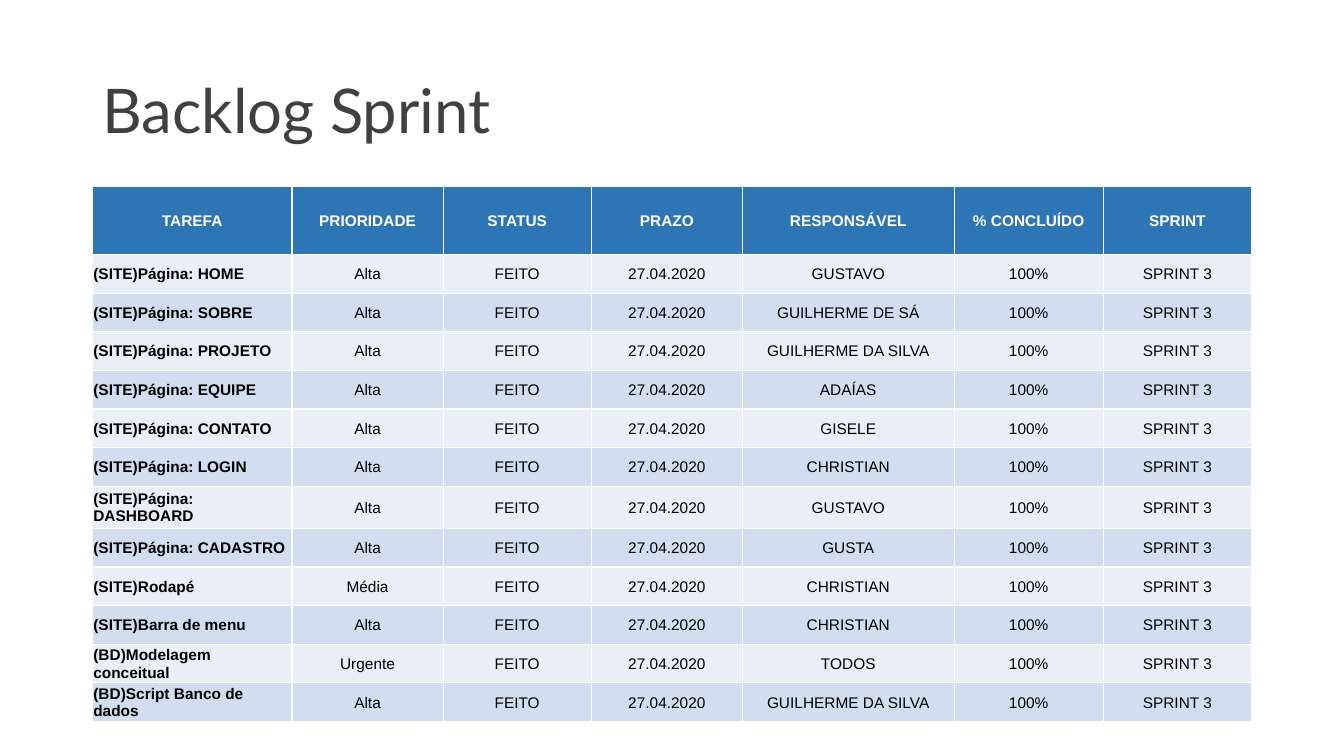
import pptx
import pptx.dml.color
import pptx.enum.text
import pptx.oxml
import pptx.oxml.ns
import pptx.util

Pt = pptx.util.Pt
RGBColor = pptx.dml.color.RGBColor
ALIGN = pptx.enum.text.PP_ALIGN
MIDDLE = pptx.enum.text.MSO_ANCHOR.MIDDLE

WHITE = RGBColor(0xFF, 0xFF, 0xFF)
BLACK = RGBColor(0x00, 0x00, 0x00)
DARK_GREY = RGBColor(0x40, 0x40, 0x40)
HEADER_BLUE = RGBColor(0x2E, 0x75, 0xB6)
BANDS = (RGBColor(0xEA, 0xEF, 0xF7), RGBColor(0xD2, 0xDE, 0xEF))

HEADINGS = ("TAREFA", "PRIORIDADE", "STATUS", "PRAZO", "RESPONSÁVEL",
            "% CONCLUÍDO", "SPRINT")
COLUMN_WIDTHS = (142.6, 108, 105.8, 108, 151.2, 106.6, 105.8)
HEADER_HEIGHT, ROW_HEIGHT, TALL_ROW_HEIGHT = 48.6, 27.6, 30.2
TALL_TASK = "(SITE)Página: DASHBOARD"
TASKS = (
    ("(SITE)Página: HOME", "Alta", "GUSTAVO"),
    ("(SITE)Página: SOBRE", "Alta", "GUILHERME DE SÁ"),
    ("(SITE)Página: PROJETO", "Alta", "GUILHERME DA SILVA"),
    ("(SITE)Página: EQUIPE", "Alta", "ADAÍAS"),
    ("(SITE)Página: CONTATO", "Alta", "GISELE"),
    ("(SITE)Página: LOGIN", "Alta", "CHRISTIAN"),
    (TALL_TASK, "Alta", "GUSTAVO"),
    ("(SITE)Página: CADASTRO", "Alta", "GUSTA"),
    ("(SITE)Rodapé", "Média", "CHRISTIAN"),
    ("(SITE)Barra de menu", "Alta", "CHRISTIAN"),
    ("(BD)Modelagem conceitual", "Urgente", "TODOS"),
    ("(BD)Script Banco de dados", "Alta", "GUILHERME DA SILVA"),
)


def apply(target, values):
    """Set each named attribute of the target."""
    for name, value in values.items():
        setattr(target, name, value)


class BacklogPage:
    title_font = {"name": "Lato", "size": Pt(44), "bold": False}
    cell_font = {"name": "Arial", "size": Pt(11)}
    cell_format = {"margin_left": Pt(0.7), "margin_right": Pt(0.7),
                   "margin_top": Pt(0.7), "margin_bottom": Pt(0),
                   "vertical_anchor": MIDDLE}

    def __init__(self, deck):
        self.page = deck.slides.add_slide(deck.slide_layouts[5])

    def add_text(self, para, text, font, colour):
        span = para.add_run()
        span.text = text
        apply(span.font, font)
        span.font.color.rgb = colour

    def title(self, text, left, top, width, height):
        box = self.page.shapes.title
        apply(box, {"left": Pt(left), "top": Pt(top),
                    "width": Pt(width), "height": Pt(height)})
        apply(box.text_frame, {"word_wrap": True, "vertical_anchor": MIDDLE})
        para = box.text_frame.paragraphs[0]
        apply(para, {"alignment": ALIGN.LEFT, "line_spacing": 0.9})
        self.add_text(para, text, self.title_font, DARK_GREY)

    def border(self, cell):
        properties = cell._tc.get_or_add_tcPr()
        for side in ("lnL", "lnR", "lnT", "lnB"):
            properties.append(pptx.oxml.parse_xml(
                f'<a:{side} {pptx.oxml.ns.nsdecls("a")} w="{Pt(1)}"><a:solidFill>'
                f'<a:srgbClr val="{WHITE}"/></a:solidFill></a:{side}>'))

    def cell(self, cell, text, fill, colour, bold, alignment):
        self.border(cell)
        apply(cell, self.cell_format)
        cell.fill.solid()
        cell.fill.fore_color.rgb = fill
        para = cell.text_frame.paragraphs[0]
        para.alignment = alignment
        self.add_text(para, text, {**self.cell_font, "bold": bold}, colour)

    def table(self, rows, left, top, widths, heights):
        table = self.page.shapes.add_table(
            len(rows), len(widths), Pt(left), Pt(top),
            Pt(sum(widths)), Pt(sum(heights))).table
        for column, width in zip(table.columns, widths):
            column.width = Pt(width)
        for row, height in zip(table.rows, heights):
            row.height = Pt(height)
        for row_index, texts in enumerate(rows):
            header = row_index == 0
            fill = HEADER_BLUE if header else BANDS[(row_index - 1) % 2]
            for column_index, text in enumerate(texts):
                task = column_index == 0 and not header
                self.cell(table.cell(row_index, column_index), text, fill,
                          WHITE if header else BLACK, header or task,
                          ALIGN.LEFT if task else ALIGN.CENTER)


def main():
    deck = pptx.Presentation()
    apply(deck, {"slide_width": Pt(960), "slide_height": Pt(540)})
    backlog = BacklogPage(deck)
    backlog.title("Backlog Sprint", 66, 28.75, 828, 104.4)
    rows = [HEADINGS] + [
        (task, priority, "FEITO", "27.04.2020", person, "100%", "SPRINT 3")
        for task, priority, person in TASKS]
    heights = [HEADER_HEIGHT] + [
        TALL_ROW_HEIGHT if task == TALL_TASK else ROW_HEIGHT
        for task, _, _ in TASKS]
    backlog.table(rows, 66, 133.2, COLUMN_WIDTHS, heights)
    deck.save("out.pptx")


if __name__ == "__main__":
    main()
